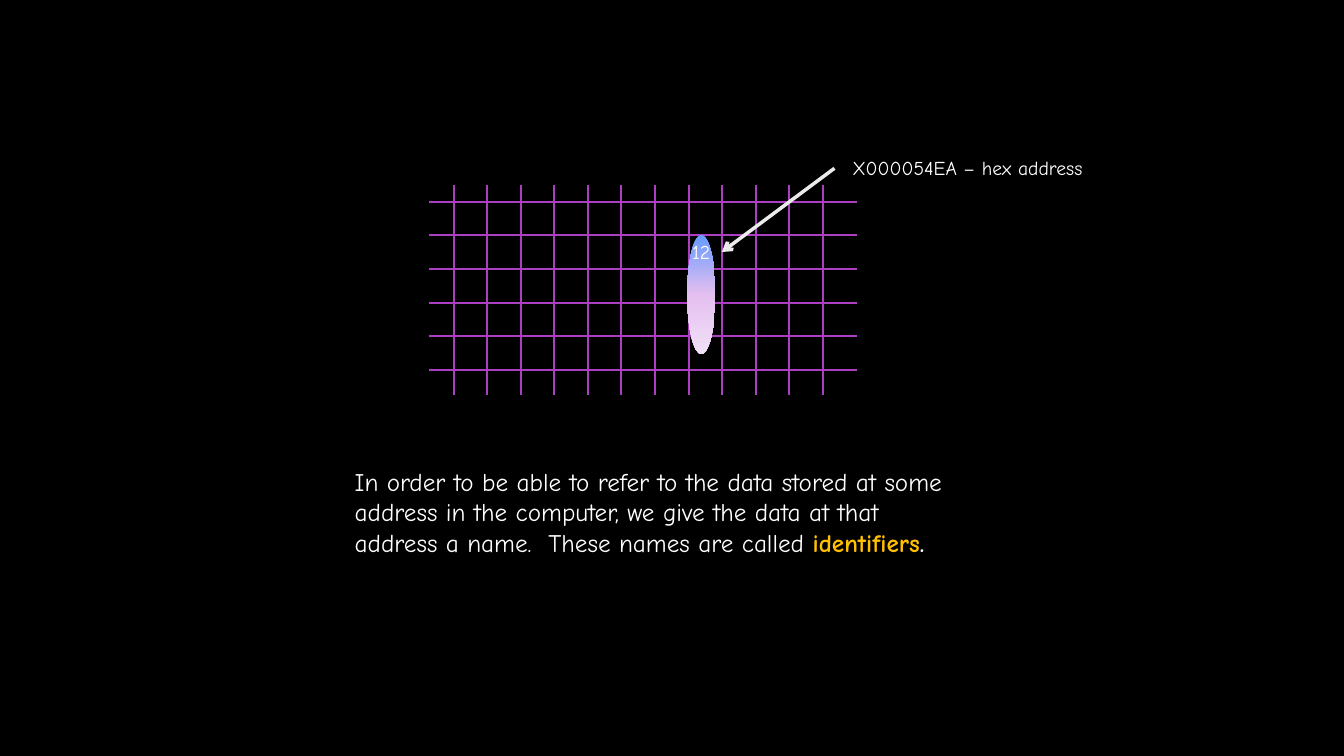
from copy import deepcopy

from lxml.etree import SubElement
from pptx import Presentation
from pptx.dml.color import RGBColor
from pptx.enum.shapes import MSO_CONNECTOR as Connector, MSO_SHAPE as Shape
from pptx.enum.text import MSO_AUTO_SIZE as AutoSize, PP_ALIGN as Align
from pptx.oxml.ns import qn
from pptx.util import Cm, Pt

COLORS = {
    "background": "000000",
    "text": "FFFFFF",
    "keyword": "FFC000",
    "grid": "AC3EC1",
    "arrow": "EBEBEB",
    "cell_top": "6699FF",
    "cell_middle": "E4BFEF",
    "cell_bottom": "F1E0F7",
}
FONT = "Comic Neue"
GRID_LEFT, GRID_RIGHT, GRID_TOP, GRID_BOTTOM = 10.8, 21.59, 4.67, 9.96
ROWS = (5.08, 9.32, 6)
COLUMNS = (11.43, 20.74, 12)
EXPLANATION = [
    [("In order to be able to refer to the data stored at some", "text", False)],
    [("address in the computer, we give the data at that", "text", False)],
    [
        ("address a name.  These names are called ", "text", False),
        ("identifiers", "keyword", True),
        (".", "text", True),
    ],
]


def rgb(name):
    """Return the named colour."""
    return RGBColor.from_string(COLORS[name])


def spread(first, last, count):
    """Return evenly spaced positions from first to last."""
    return [first + (last - first) * index / (count - 1) for index in range(count)]


def add_text(slide, text, left, top, width, height, size=14, align=Align.CENTER):
    """Add a text box from a string or from paragraphs of (text, colour, bold) runs."""
    frame = slide.shapes.add_textbox(Cm(left), Cm(top), Cm(width), Cm(height)).text_frame
    frame.word_wrap = False
    frame.auto_size = AutoSize.SHAPE_TO_FIT_TEXT
    paragraphs = [[(text, "text", False)]] if isinstance(text, str) else text
    for index, runs in enumerate(paragraphs):
        paragraph = frame.add_paragraph() if index else frame.paragraphs[0]
        paragraph.alignment = align
        for words, color, bold in runs:
            run = paragraph.add_run()
            run.text = words
            run.font.name = FONT
            run.font.size = Pt(size)
            run.font.bold = bold
            run.font.color.rgb = rgb(color)


def add_line(slide, start, end, color="grid", width=1.5, arrow=False):
    """Add a straight line, with an arrowhead at its end if wanted."""
    line = slide.shapes.add_connector(
        Connector.STRAIGHT, *(Cm(value) for value in (*start, *end))
    )
    line.line.color.rgb = rgb(color)
    line.line.width = Pt(width)
    if arrow:
        SubElement(line.line._get_or_add_ln(), qn("a:tailEnd"), type="arrow")
    SubElement(line._element.spPr, qn("a:effectLst"))


def add_memory_grid(slide):
    """Draw the grid of memory cells."""
    for y in spread(*ROWS):
        add_line(slide, (GRID_LEFT, y), (GRID_RIGHT, y))
    for x in spread(*COLUMNS):
        add_line(slide, (x, GRID_TOP), (x, GRID_BOTTOM))


def add_gradient_ellipse(slide, left, top, width, height, colors):
    """Add an ellipse shaded from top to bottom through three colours."""
    shape = slide.shapes.add_shape(
        Shape.OVAL, Cm(left), Cm(top), Cm(width), Cm(height)
    )
    shape.shadow.inherit = False
    shape.line.fill.background()
    shape.fill.gradient()
    shape.fill.gradient_angle = 270
    stop_list = shape._element.spPr.find(qn("a:gradFill")).find(qn("a:gsLst"))
    stop_list.insert(1, deepcopy(stop_list[0]))
    for index, (stop, color) in enumerate(zip(shape.fill.gradient_stops, colors)):
        stop.position = index / 2
        stop.color.rgb = rgb(color)


def main():
    """Build the slide and save it."""
    presentation = Presentation()
    presentation.slide_width, presentation.slide_height = Cm(33.87), Cm(19.05)
    slide = presentation.slides.add_slide(presentation.slide_layouts[6])
    slide.background.fill.solid()
    slide.background.fill.fore_color.rgb = rgb("background")

    add_text(slide, EXPLANATION, 8.69, 11.63, 17.4, 2.57, size=18, align=Align.LEFT)
    add_memory_grid(slide)
    add_gradient_ellipse(
        slide, 17.32, 5.92, 0.71, 3, ("cell_top", "cell_middle", "cell_bottom")
    )
    add_text(slide, "12", 17.15, 5.92, 1.04, 0.86)
    add_line(slide, (21.03, 4.24), (18.19, 6.35), "arrow", 2.5, arrow=True)
    add_text(slide, "X000054EA – hex address", 21.03, 3.81, 6.71, 0.86)

    presentation.save("out.pptx")


if __name__ == "__main__":
    main()
